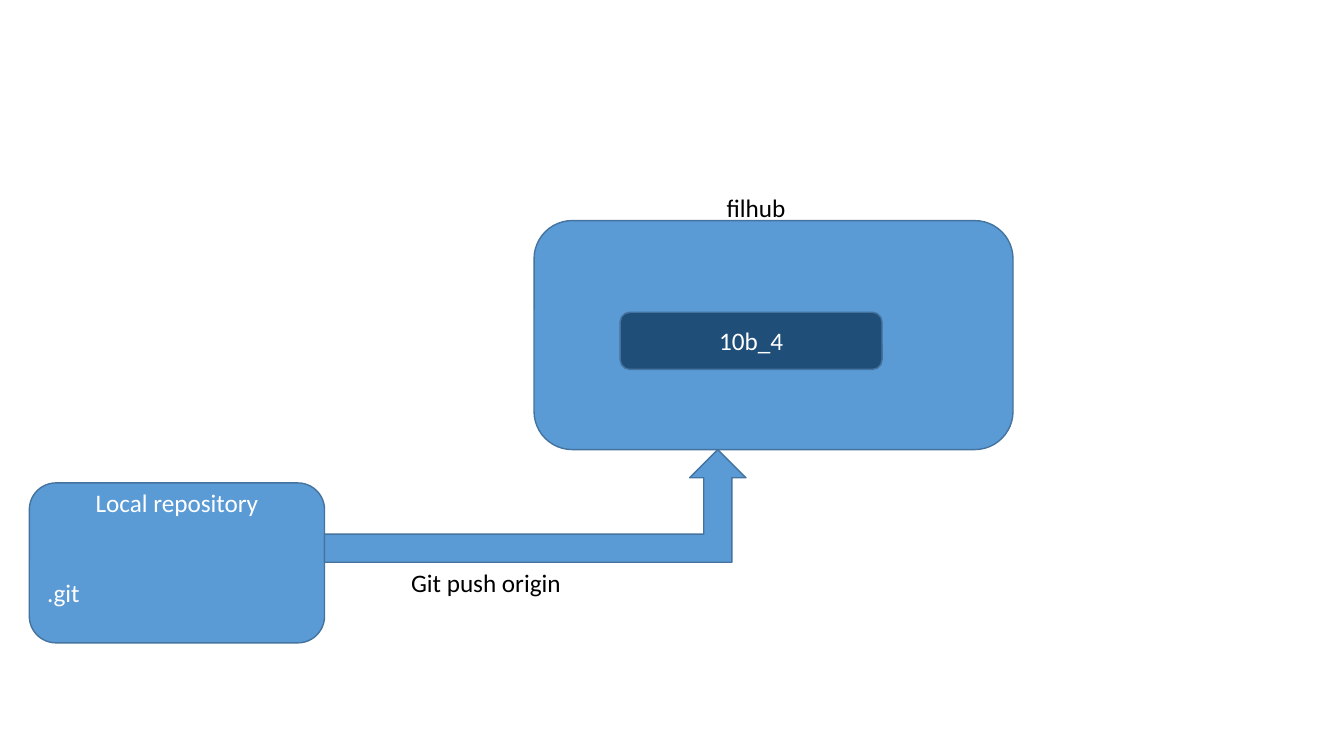
import pptx
import pptx.dml.color
import pptx.enum.shapes
import pptx.enum.text
import pptx.util

Cm = pptx.util.Cm
Pt = pptx.util.Pt
RGBColor = pptx.dml.color.RGBColor
ShapeKind = pptx.enum.shapes.MSO_SHAPE
Align = pptx.enum.text.PP_ALIGN
Anchor = pptx.enum.text.MSO_ANCHOR

BLUE = RGBColor(0x5B, 0x9B, 0xD5)
NAVY = RGBColor(0x1F, 0x4E, 0x79)
OUTLINE = RGBColor(0x43, 0x73, 0x9E)
WHITE = RGBColor(0xFF, 0xFF, 0xFF)
BLACK = RGBColor(0, 0, 0)


def write_text(paragraph, text, color=WHITE, align=Align.CENTER, space_before=0):
    """Write one formatted run into a paragraph."""
    paragraph.alignment = align
    paragraph.space_before = Pt(space_before)
    run = paragraph.add_run()
    run.text = text
    run.font.name = "Calibri"
    run.font.size = Pt(18)
    run.font.color.rgb = color


def add_block(slide, kind, left, top, width, height, fill=BLUE):
    """Add an outlined shape, measured in centimetres."""
    shape = slide.shapes.add_shape(kind, Cm(left), Cm(top), Cm(width), Cm(height))
    shape.shadow.inherit = False
    shape.fill.solid()
    shape.fill.fore_color.rgb = fill
    shape.line.color.rgb = OUTLINE
    shape.line.width = Pt(1)
    shape.text_frame.vertical_anchor = Anchor.MIDDLE
    return shape


def add_label(slide, text, left, top, width):
    """Add a one-line black label."""
    label = slide.shapes.add_textbox(Cm(left), Cm(top), Cm(width), Cm(1.02))
    label.text_frame.word_wrap = False
    label.text_frame.auto_size = pptx.enum.text.MSO_AUTO_SIZE.SHAPE_TO_FIT_TEXT
    write_text(label.text_frame.paragraphs[0], text, color=BLACK, align=Align.LEFT)


def add_local_repository(slide, left, top, width, height):
    """Draw the local repository with its .git folder."""
    repository = add_block(slide, ShapeKind.ROUNDED_RECTANGLE, left, top, width, height)
    frame = repository.text_frame
    frame.margin_bottom = Cm(0.9)
    write_text(frame.paragraphs[0], "Local repository")
    write_text(frame.add_paragraph(), ".git", align=Align.LEFT, space_before=43)


def add_push_arrow(slide, left, top, width, height):
    """Draw the bent push arrow and the command below it."""
    add_block(slide, ShapeKind.BENT_UP_ARROW, left, top, width, height)
    add_label(slide, "Git push origin", left + 1.93, top + height, 4.34)


def add_remote_host(slide, left, top, width, height):
    """Draw the remote host with its name above and its branch inside."""
    add_block(slide, ShapeKind.ROUNDED_RECTANGLE, left, top, width, height)
    add_label(slide, "filhub", left + 4.6, top - 0.84, 2.18)
    branch = add_block(slide, ShapeKind.ROUNDED_RECTANGLE,
                       left + 2.17, top + 2.31, 6.6, 1.44, fill=NAVY)
    write_text(branch.text_frame.paragraphs[0], "10b_4")


def main():
    """Build and save the slide."""
    presentation = pptx.Presentation()
    presentation.slide_width = Cm(33.87)
    presentation.slide_height = Cm(19.05)
    slide = presentation.slides.add_slide(presentation.slide_layouts[6])
    add_local_repository(slide, 0.74, 12.17, 7.44, 4.03)
    add_push_arrow(slide, 8.18, 11.33, 10.62, 2.84)
    add_remote_host(slide, 13.46, 5.56, 12.07, 5.77)
    presentation.save("out.pptx")


if __name__ == "__main__":
    main()
